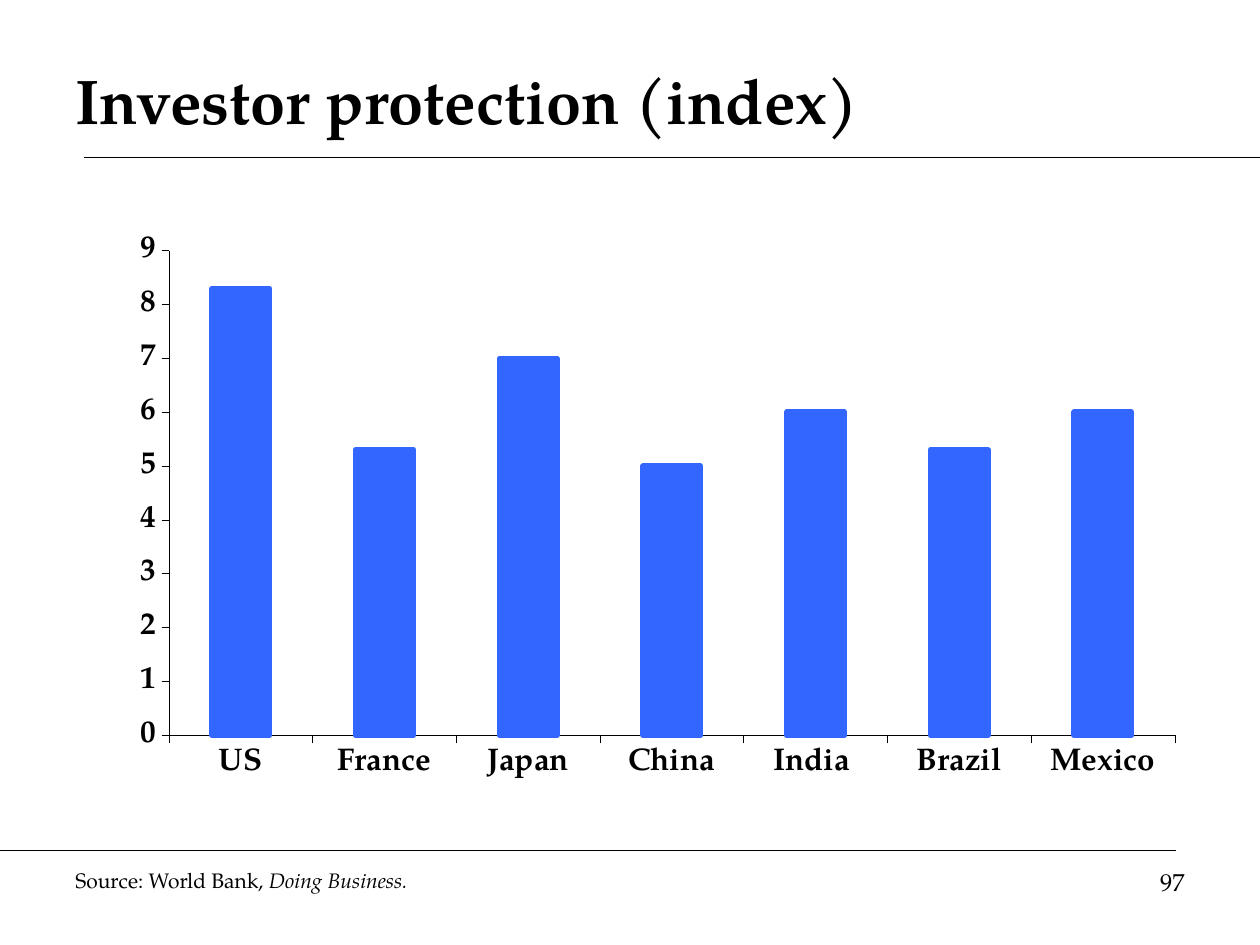
from dataclasses import dataclass
from lxml.etree import SubElement
from pptx import Presentation
from pptx.chart.data import CategoryChartData
from pptx.dml.color import RGBColor
from pptx.enum.chart import XL_CHART_TYPE, XL_TICK_MARK
from pptx.enum.shapes import MSO_CONNECTOR
from pptx.enum.text import MSO_ANCHOR, PP_ALIGN
from pptx.oxml import parse_xml
from pptx.oxml.ns import nsdecls, qn
from pptx.util import Pt


@dataclass(frozen=True)
class Theme:
    face: str = "TeX Gyre Pagella"
    ink: RGBColor = RGBColor(0, 0, 0)
    bar: RGBColor = RGBColor(0x33, 0x66, 0xFF)
    title: float = 36
    label: float = 17.9
    page: float = 14
    note: float = 12


theme = Theme()
deck = Presentation()
deck.slide_width, deck.slide_height = Pt(720), Pt(540)
slide = deck.slides.add_slide(deck.slide_layouts[6])


def style(font, size, bold=False, italic=False):
    font.name, font.size = theme.face, Pt(size)
    font.bold, font.italic = bold, italic
    font.color.rgb = theme.ink


def write(text, box, size, bold=False, tail="", align=PP_ALIGN.LEFT,
          anchor=MSO_ANCHOR.TOP):
    """Put text in a box, with an optional italic tail."""
    frame = slide.shapes.add_textbox(*map(Pt, box)).text_frame
    frame.word_wrap = True
    frame.vertical_anchor = anchor
    para = frame.paragraphs[0]
    para.alignment = align
    for part, slant in ((text, False), (tail, True)):
        if part:
            run = para.add_run()
            run.text = part
            style(run.font, size, bold, slant)


# Rules above and below the body
for left, right, top in ((48, 720, 90), (0, 672, 486)):
    rule = slide.shapes.add_connector(
        MSO_CONNECTOR.STRAIGHT, Pt(left), Pt(top), Pt(right), Pt(top))
    rule.line.color.rgb = theme.ink
    rule.line.width = Pt(0.75)
    SubElement(rule._element.spPr, qn("a:effectLst"))

# Title
write("Investor protection (index)", (36, 24, 648, 66), theme.title,
      bold=True, anchor=MSO_ANCHOR.MIDDLE)

# Column chart
data = CategoryChartData()
data.categories = ["US", "France", "Japan", "China", "India ", "Brazil", "Mexico"]
data.add_series("Series 1", (8.3, 5.3, 7, 5, 6, 5.3, 6))
chart = slide.shapes.add_chart(
    XL_CHART_TYPE.COLUMN_CLUSTERED, Pt(12), Pt(115.2), Pt(666), Pt(363.6), data).chart
chart.has_legend = False
chart.has_title = False
style(chart.font, theme.label, bold=True)

# Bars
plot = chart.plots[0]
plot.gap_width = 150
plot.vary_by_categories = False
bars = plot.series[0].format
bars.fill.solid()
bars.fill.fore_color.rgb = theme.bar
bars.line.color.rgb = theme.bar
bars.line.width = Pt(3)

# Axes
for axis in (chart.category_axis, chart.value_axis):
    axis.has_major_gridlines = False
    axis.major_tick_mark = XL_TICK_MARK.OUTSIDE
    axis.minor_tick_mark = XL_TICK_MARK.NONE
    axis.format.line.color.rgb = theme.ink
    axis.format.line.width = Pt(0.25)
    style(axis.tick_labels.font, theme.label, bold=True)
scale = chart.value_axis
scale.minimum_scale, scale.maximum_scale, scale.major_unit = 0, 9, 1
scale.tick_labels.number_format = "0"
scale.tick_labels.number_format_is_linked = False

# Fixed inner plot area
area = chart._chartSpace.find(".//" + qn("c:plotArea"))
for old in area.findall(qn("c:layout")):
    area.remove(old)
places = "".join(f'<c:{key} val="{val}"/>' for key, val in (
    ("layoutTarget", "inner"), ("xMode", "edge"), ("yMode", "edge"),
    ("x", 0.127), ("y", 0.077), ("w", 0.863), ("h", 0.762)))
area.insert(0, parse_xml(
    f'<c:layout {nsdecls("c")}><c:manualLayout>{places}</c:manualLayout></c:layout>'))

# Footer
write("97", (516, 492, 168, 37.5), theme.page, align=PP_ALIGN.RIGHT)
write("Source: World Bank, ", (36, 492, 462, 21.6), theme.note,
      tail="Doing Business.")

deck.save("out.pptx")
